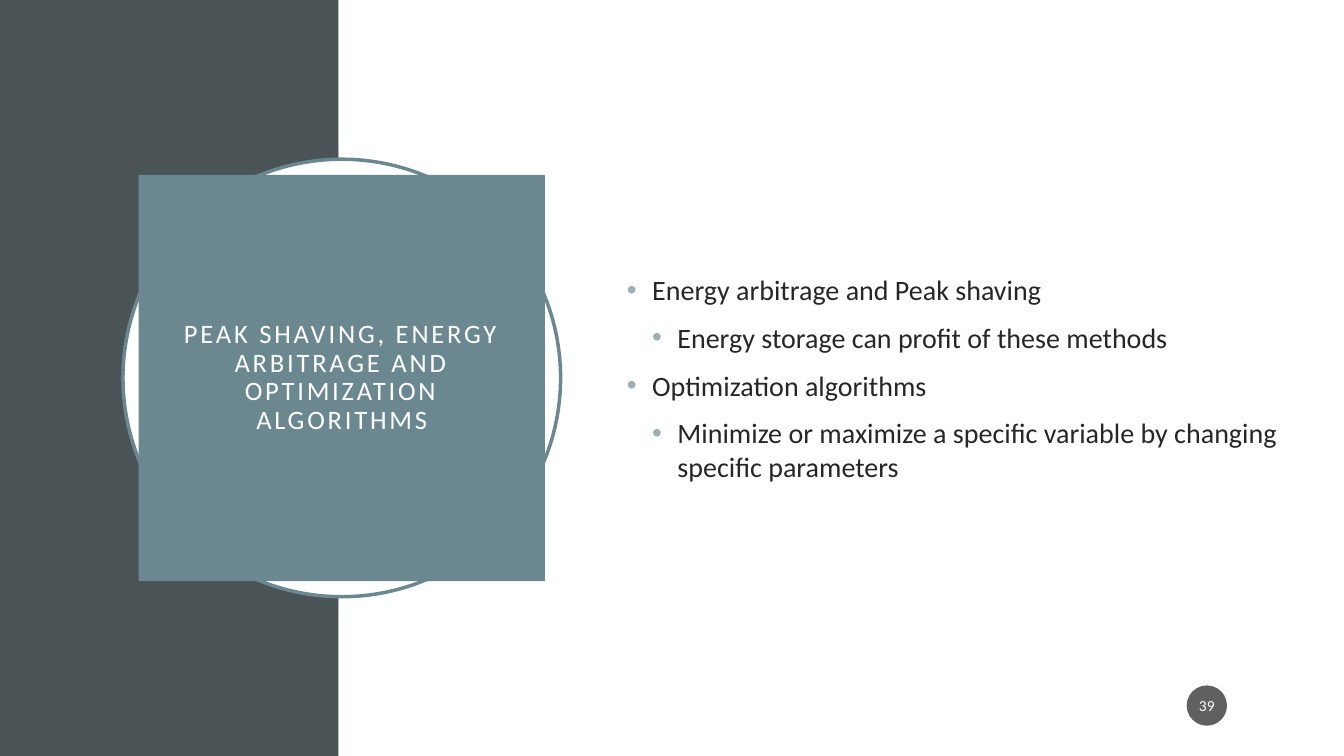
from dataclasses import dataclass

from lxml import etree
from pptx import Presentation
from pptx.dml.color import RGBColor
from pptx.enum.shapes import MSO_SHAPE
from pptx.enum.text import MSO_ANCHOR, MSO_AUTO_SIZE, PP_ALIGN
from pptx.oxml.ns import qn
from pptx.util import Inches, Pt

RECTANGLE, OVAL = MSO_SHAPE.RECTANGLE, MSO_SHAPE.OVAL
MIDDLE = MSO_ANCHOR.MIDDLE
CENTER = PP_ALIGN.CENTER
NO_FIT = MSO_AUTO_SIZE.NONE

TITLE = "PEAK SHAVING, ENERGY ARBITRAGE AND OPTIMIZATION ALGORITHMS"
BULLETS = [
    (0, "Energy arbitrage and Peak shaving"),
    (1, "Energy storage can profit of these methods"),
    (0, "Optimization algorithms"),
    (1, "Minimize or maximize a specific variable by changing specific parameters"),
]
PAGE_NUMBER = "39"


@dataclass(frozen=True)
class Theme:
    font: str = "Calibri"
    dark: str = "4A5356"
    accent: str = "6B8891"
    bullet: str = "9BAFB5"
    ink: str = "262626"
    badge: str = "1D1D1D"
    white: str = "FFFFFF"
    title_size: int = 19
    body_size: int = 20
    badge_size: int = 11


THEME = Theme()
WIDTH, HEIGHT = 13.33, 7.5
BAND = 3.36
CENTER_X, CENTER_Y = 3.39, HEIGHT / 2
RING, TITLE_SIDE, BADGE = 4.34, 4.03, 0.4
BODY_LEFT, BODY_HEIGHT = 6.12, 4.43
INDENT = 0.25


def square_at(x, y, side):
    return x - side / 2, y - side / 2, side, side


def color(value):
    return RGBColor.from_string(value)


def add_panel(slide, kind, box, fill):
    shape = slide.shapes.add_shape(kind, *map(Inches, box))
    shape.shadow.inherit = False
    shape.fill.solid()
    shape.fill.fore_color.rgb = color(fill)
    shape.line.fill.background()
    return shape


def set_frame(shape, side_inset, end_inset):
    frame = shape.text_frame
    frame.word_wrap = True
    frame.auto_size = NO_FIT
    frame.vertical_anchor = MIDDLE
    frame.margin_left = frame.margin_right = Inches(side_inset)
    frame.margin_top = frame.margin_bottom = Inches(end_inset)
    return frame


def add_run(paragraph, text, size, ink):
    run = paragraph.add_run()
    run.text = text
    run.font.name = THEME.font
    run.font.size = Pt(size)
    run.font.color.rgb = color(ink)
    return run


def set_bullet(paragraph, level):
    paragraph.level = level
    properties = paragraph._p.get_or_add_pPr()
    properties.set("marL", str(Inches(INDENT * (level + 1))))
    properties.set("indent", str(-Inches(INDENT)))
    bullet_color = etree.SubElement(properties, qn("a:buClr"))
    etree.SubElement(bullet_color, qn("a:srgbClr"), val=THEME.bullet)
    etree.SubElement(properties, qn("a:buFont"), typeface="Arial")
    etree.SubElement(properties, qn("a:buChar"), char="•")


def add_title(slide):
    title = slide.shapes.title
    slide.shapes._spTree.append(title._element)
    box = square_at(CENTER_X, CENTER_Y, TITLE_SIDE)
    title.left, title.top, title.width, title.height = map(Inches, box)
    title.fill.solid()
    title.fill.fore_color.rgb = color(THEME.accent)
    paragraph = set_frame(title, 0.2, 0.2).paragraphs[0]
    paragraph.alignment = CENTER
    paragraph.line_spacing = 0.9
    run = add_run(paragraph, TITLE, THEME.title_size, THEME.white)
    run.font._element.set("spc", "200")


def add_body(slide):
    box = (BODY_LEFT, CENTER_Y - BODY_HEIGHT / 2, WIDTH - BODY_LEFT, BODY_HEIGHT)
    body = slide.shapes.add_textbox(*map(Inches, box))
    frame = set_frame(body, 0.1, 0.05)
    for index, (level, text) in enumerate(BULLETS):
        paragraph = frame.add_paragraph() if index else frame.paragraphs[0]
        set_bullet(paragraph, level)
        paragraph.space_before = Pt(10 if index else 0)
        add_run(paragraph, text, THEME.body_size, THEME.ink)


def add_badge(slide):
    badge = add_panel(slide, OVAL, square_at(11.97, 7, BADGE), THEME.badge)
    fill_color = badge._element.spPr.find(qn("a:solidFill"))[0]
    etree.SubElement(fill_color, qn("a:alpha"), val="70000")
    frame = set_frame(badge, 0.02, 0.05)
    frame.word_wrap = False
    paragraph = frame.paragraphs[0]
    paragraph.alignment = CENTER
    add_run(paragraph, PAGE_NUMBER, THEME.badge_size, THEME.white)


def main():
    presentation = Presentation()
    presentation.slide_width = Inches(WIDTH)
    presentation.slide_height = Inches(HEIGHT)
    slide = presentation.slides.add_slide(presentation.slide_layouts[5])
    add_panel(slide, RECTANGLE, (0, 0, BAND, HEIGHT), THEME.dark)
    add_panel(slide, RECTANGLE, (BAND, 0, WIDTH - BAND, HEIGHT), THEME.white)
    ring = add_panel(slide, OVAL, square_at(CENTER_X, CENTER_Y, RING), THEME.white)
    ring.line.color.rgb = color(THEME.accent)
    ring.line.width = Pt(2.5)
    add_title(slide)
    add_body(slide)
    add_badge(slide)
    presentation.save("out.pptx")


if __name__ == "__main__":
    main()
